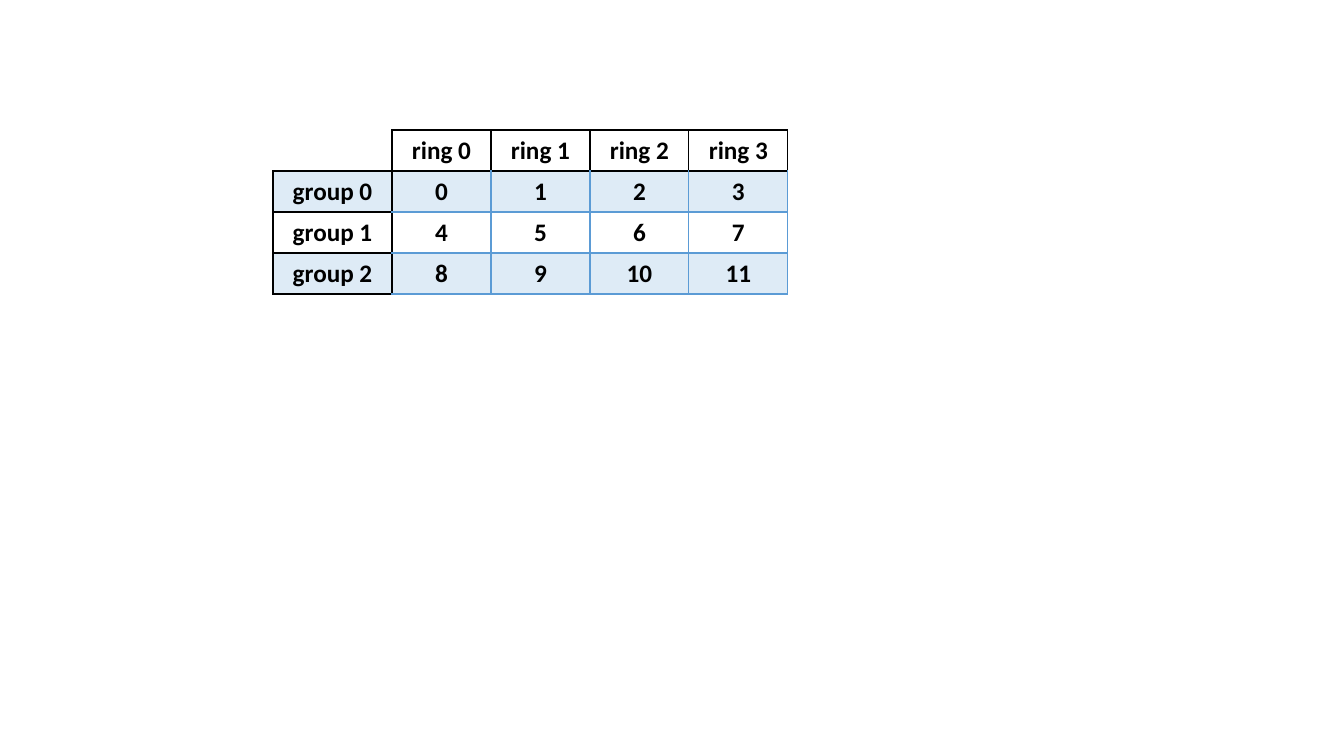
from dataclasses import dataclass

import pptx
import pptx.dml.color
import pptx.enum.text
import pptx.oxml
import pptx.oxml.ns
import pptx.util
from lxml import etree

SCALE = 914400 / 100.8  # EMU per pixel

BLACK = pptx.dml.color.RGBColor(0x00, 0x00, 0x00)
BLUE = pptx.dml.color.RGBColor(0x5B, 0x9B, 0xD5)
BAND_OPACITY = 20  # percent
FONT_NAME = "Calibri"
FONT_SIZE = 18
BORDER_WIDTH = 1

RINGS = 4
GROUPS = 3
LEFT, TOP = 273, 130
GROUP_WIDTH, RING_WIDTH, ROW_HEIGHT = 119, 99, 41


@dataclass(frozen=True)
class GridCell:
    row: int
    column: int

    @property
    def is_corner(self) -> bool:
        return self.row == 0 and self.column == 0

    @property
    def is_header(self) -> bool:
        return self.row == 0 or self.column == 0

    @property
    def is_banded(self) -> bool:
        return self.row % 2 == 1

    @property
    def text(self) -> str:
        if self.is_corner:
            return ""
        if self.row == 0:
            return f"ring {self.column - 1}"
        if self.column == 0:
            return f"group {self.row - 1}"
        return str((self.row - 1) * RINGS + self.column - 1)

    def border_color(self, side: str) -> pptx.dml.color.RGBColor | None:
        """Edges of header cells are black, inner ones blue; the corner is open."""
        if self.is_corner and side in "LT":
            return None
        beside_header = (side == "L" and self.column == 1) or (side == "T" and self.row == 1)
        return BLACK if self.is_header or beside_header else BLUE


def pixels(length: int) -> pptx.util.Emu:
    return pptx.util.Emu(round(length * SCALE))


def add_border(properties: etree._Element, side: str,
               color: pptx.dml.color.RGBColor | None) -> None:
    fill = "<a:noFill/>" if color is None else (
        f'<a:solidFill><a:srgbClr val="{color}"/></a:solidFill>')
    width = pptx.util.Pt(BORDER_WIDTH)
    properties.append(pptx.oxml.parse_xml(
        f'<a:ln{side} {pptx.oxml.ns.nsdecls("a")} w="{width}">{fill}</a:ln{side}>'))


def draw_cell(cell: pptx.table._Cell, grid_cell: GridCell) -> None:
    # Borders come before the fill in the cell properties
    properties = cell._tc.get_or_add_tcPr()
    for side in "LRTB":
        add_border(properties, side, grid_cell.border_color(side))

    if grid_cell.is_banded:
        cell.fill.solid()
        cell.fill.fore_color.rgb = BLUE
        color = properties.find(pptx.oxml.ns.qn("a:solidFill"))[0]
        alpha = etree.SubElement(color, pptx.oxml.ns.qn("a:alpha"))
        alpha.set("val", str(BAND_OPACITY * 1000))
    else:
        cell.fill.background()

    if grid_cell.text:
        paragraph = cell.text_frame.paragraphs[0]
        paragraph.alignment = pptx.enum.text.PP_ALIGN.CENTER
        run = paragraph.add_run()
        run.text = grid_cell.text
        run.font.name = FONT_NAME
        run.font.size = pptx.util.Pt(FONT_SIZE)
        run.font.bold = True
        run.font.color.rgb = BLACK


presentation = pptx.Presentation()
presentation.slide_width = pixels(1344)
presentation.slide_height = pixels(756)
slide = presentation.slides.add_slide(presentation.slide_layouts[6])

# Table of groups and rings
column_widths = [GROUP_WIDTH] + [RING_WIDTH] * RINGS
row_count = GROUPS + 1
table = slide.shapes.add_table(
    row_count, len(column_widths), pixels(LEFT), pixels(TOP),
    pixels(sum(column_widths)), pixels(ROW_HEIGHT * row_count)).table
table.first_row = False
table.horz_banding = False

for column, column_width in zip(table.columns, column_widths):
    column.width = pixels(column_width)
for row_index, row in enumerate(table.rows):
    row.height = pixels(ROW_HEIGHT)
    for column_index, cell in enumerate(row.cells):
        draw_cell(cell, GridCell(row_index, column_index))

presentation.save("out.pptx")
